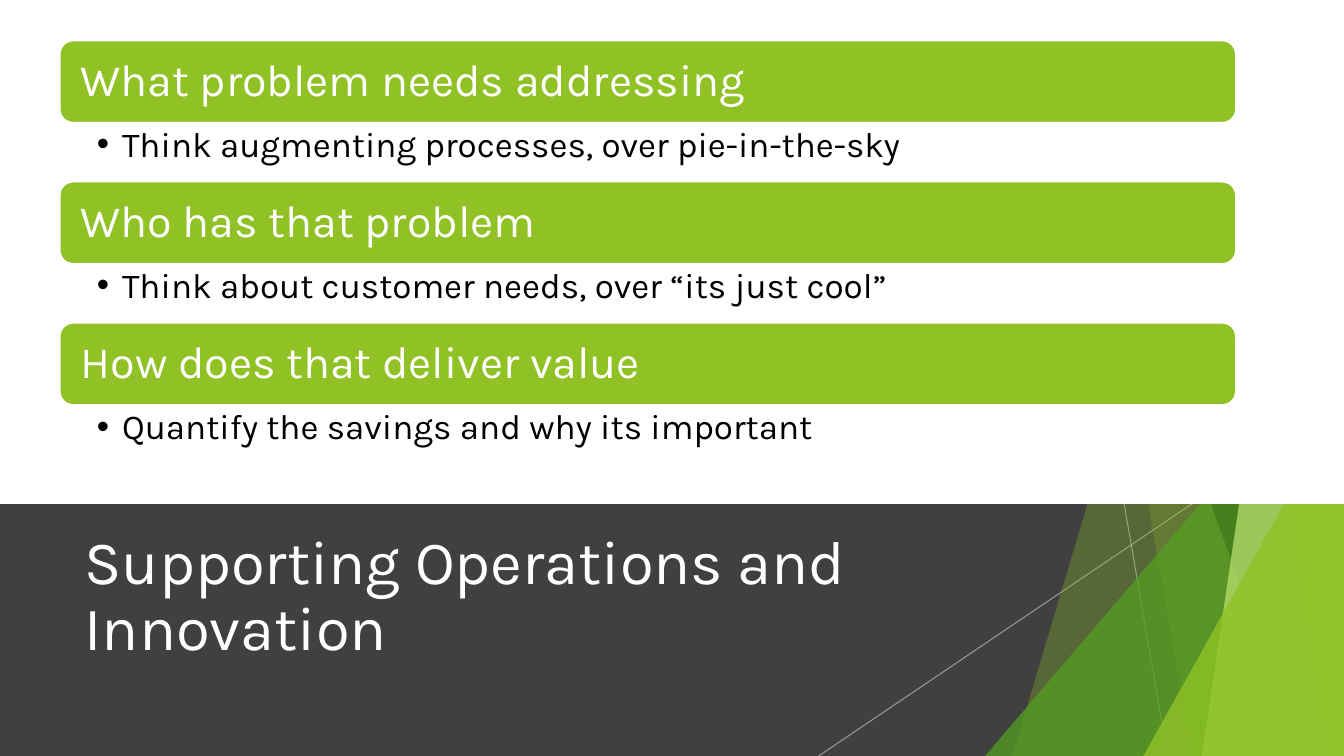
from typing import Any, NamedTuple

from lxml.etree import SubElement
from pptx import Presentation
from pptx.dml.color import RGBColor
from pptx.enum.shapes import MSO_CONNECTOR, MSO_SHAPE
from pptx.enum.text import MSO_ANCHOR as ANCHOR, MSO_AUTO_SIZE, PP_ALIGN
from pptx.oxml.ns import qn
from pptx.util import Inches, Pt

WHITE = RGBColor(0xFF, 0xFF, 0xFF)
BLACK = RGBColor(0x00, 0x00, 0x00)
CHARCOAL = RGBColor(0x40, 0x40, 0x40)
SILVER = RGBColor(0xBF, 0xBF, 0xBF)
LIME = RGBColor(0x90, 0xC2, 0x26)
GREEN = RGBColor(0x54, 0xA0, 0x21)
FOREST = RGBColor(0x3F, 0x78, 0x19)
PALE = RGBColor(0xC0, 0xE4, 0x74)

FONT = "Karla"
WIDTH, HEIGHT, SPLIT = 13.33, 7.5, 5.0
TOP = -0.01
LEFT, ROW_WIDTH = 0.59, 11.67
FIRST_ROW, ROW_STEP = 0.4, 1.4
BAR_HEIGHT, BULLET_HEIGHT = 0.82, 0.58


class Ray(NamedTuple):
    """A line falling from the split to the slide's bottom edge."""
    top_x: float
    bottom_x: float


class Facet(NamedTuple):
    """A translucent band that reaches the right edge of the slide."""
    top_x: float
    bottom_x: float
    color: RGBColor
    alpha: int


class Wedge(NamedTuple):
    """A translucent right triangle in the bottom right corner."""
    left: float
    top: float
    color: RGBColor
    alpha: int


class Row(NamedTuple):
    """A heading bar and the bullet below it."""
    heading: str
    bullet: str


RAYS = [Ray(11.15, 11.58), Ray(11.82, 8.12)]
DECOR = [
    Facet(12.28, 10.04, LIME, 30),
    Facet(10.5, 11.83, LIME, 20),
    Wedge(9.77, 3.33, GREEN, 72),
    Facet(10.21, 12.91, FOREST, 70),
    Facet(13.03, 11.92, PALE, 70),
    Facet(11.96, 13.18, LIME, 65),
    Wedge(11.34, 3.93, LIME, 80),
]
ROWS = [
    Row("What problem needs addressing", "Think augmenting processes, over pie-in-the-sky"),
    Row("Who has that problem", "Think about customer needs, over “its just cool”"),
    Row("How does that deliver value", "Quantify the savings and why its important"),
]


def set_attrs(target: Any, values: dict[str, Any]) -> None:
    """Set every attribute named in values."""
    for name, value in values.items():
        setattr(target, name, value)


def set_alpha(sp: Any, percent: int) -> None:
    """Give the shape's first colour an opacity."""
    color = next(sp.element.spPr.iter(qn("a:srgbClr")))
    SubElement(color, qn("a:alpha"), val=str(percent * 1000))


def paint(sp: Any, color: RGBColor) -> None:
    """Fill a shape flat, without outline or shadow."""
    sp.shadow.inherit = False
    sp.fill.solid()
    sp.fill.fore_color.rgb = color
    sp.line.fill.background()


def add_preset(shapes: Any, kind: MSO_SHAPE, box: tuple[float, ...], color: RGBColor) -> Any:
    """Add a flat preset shape; box is left, top, width, height."""
    sp = shapes.add_shape(kind, *map(Inches, box))
    paint(sp, color)
    return sp


def add_ray(shapes: Any, ray: Ray) -> None:
    """Draw one thin translucent line."""
    ends = map(Inches, (ray.top_x, SPLIT, ray.bottom_x, HEIGHT))
    sp = shapes.add_connector(MSO_CONNECTOR.STRAIGHT, *ends)
    sp.line.color.rgb = SILVER
    sp.line.width = Pt(0.75)
    set_alpha(sp, 70)
    SubElement(sp.element.spPr, qn("a:effectLst"))


def add_decor(shapes: Any, item: Facet | Wedge) -> None:
    """Draw one translucent facet or wedge."""
    if isinstance(item, Wedge):
        box = (item.left, item.top, WIDTH - item.left, HEIGHT - item.top)
        sp = add_preset(shapes, MSO_SHAPE.ISOSCELES_TRIANGLE, box, item.color)
        sp.adjustments[0] = 1
    else:
        corners = [(WIDTH, TOP), (WIDTH, HEIGHT), (item.bottom_x, HEIGHT)]
        builder = shapes.build_freeform(Inches(item.top_x), Inches(TOP))
        builder.add_line_segments([(Inches(x), Inches(y)) for x, y in corners])
        sp = builder.convert_to_shape()
        paint(sp, item.color)
    set_alpha(sp, item.alpha)


def write(sp: Any, text: str, size: int, color: RGBColor, anchor: ANCHOR,
          margins: tuple[float, ...]) -> Any:
    """Write one left-aligned paragraph; margins are left, top, right, bottom."""
    tf = sp.text_frame
    left, top, right, bottom = map(Inches, margins)
    set_attrs(tf, dict(word_wrap=True, auto_size=MSO_AUTO_SIZE.NONE, vertical_anchor=anchor,
                       margin_left=left, margin_top=top, margin_right=right,
                       margin_bottom=bottom))
    p = tf.paragraphs[0]
    set_attrs(p, dict(alignment=PP_ALIGN.LEFT, line_spacing=0.9, space_before=Pt(0)))
    r = p.add_run()
    r.text = text
    set_attrs(r.font, dict(name=FONT, size=Pt(size), bold=False))
    r.font.color.rgb = color
    return p


def place(sp: Any, left: float, top: float, width: float, height: float) -> None:
    """Move a placeholder and bring it to the front."""
    set_attrs(sp, dict(left=Inches(left), top=Inches(top),
                       width=Inches(width), height=Inches(height)))
    sp.element.getparent().append(sp.element)


def add_row(shapes: Any, body: Any, row: Row, top: float) -> None:
    """Draw a heading bar and put its bullet in the body placeholder."""
    bar = add_preset(shapes, MSO_SHAPE.ROUNDED_RECTANGLE,
                     (LEFT, top, ROW_WIDTH, BAR_HEIGHT), LIME)
    bar.line.color.rgb = WHITE
    bar.line.width = Pt(1.5)
    write(bar, row.heading, 32, WHITE, ANCHOR.MIDDLE, (0.17, 0.13, 0.17, 0.13))

    place(body, LEFT, top + BAR_HEIGHT, ROW_WIDTH, BULLET_HEIGHT)
    p = write(body, row.bullet, 25, BLACK, ANCHOR.TOP, (0.37, 0.04, 0.25, 0.04))
    pPr = p._p.get_or_add_pPr()
    pPr.set("marL", str(Inches(0.25)))
    pPr.set("indent", str(-Inches(0.25)))
    SubElement(pPr, qn("a:buFont"), typeface="Arial")
    SubElement(pPr, qn("a:buChar"), char="•")


def main() -> None:
    """Build and save the slide."""
    prs = Presentation()
    prs.slide_width, prs.slide_height = Inches(WIDTH), Inches(HEIGHT)
    slide = prs.slides.add_slide(prs.slide_layouts.get_by_name("Comparison"))
    shapes = slide.shapes
    title, *bodies, spare = list(slide.placeholders)
    spare.element.getparent().remove(spare.element)

    add_preset(shapes, MSO_SHAPE.RECTANGLE, (0, SPLIT, WIDTH, HEIGHT - SPLIT), CHARCOAL)
    for ray in RAYS:
        add_ray(shapes, ray)
    for item in DECOR:
        add_decor(shapes, item)
    add_preset(shapes, MSO_SHAPE.RECTANGLE, (0, 0, WIDTH, SPLIT), WHITE)

    for i, (body, row) in enumerate(zip(bodies, ROWS)):
        add_row(shapes, body, row, FIRST_ROW + i * ROW_STEP)

    place(title, 0.74, 5.21, 9.4, 1.44)
    write(title, "Supporting Operations and Innovation", 44, WHITE, ANCHOR.MIDDLE,
          (0.1, 0.05, 0.1, 0.05))
    prs.save("out.pptx")


main()
